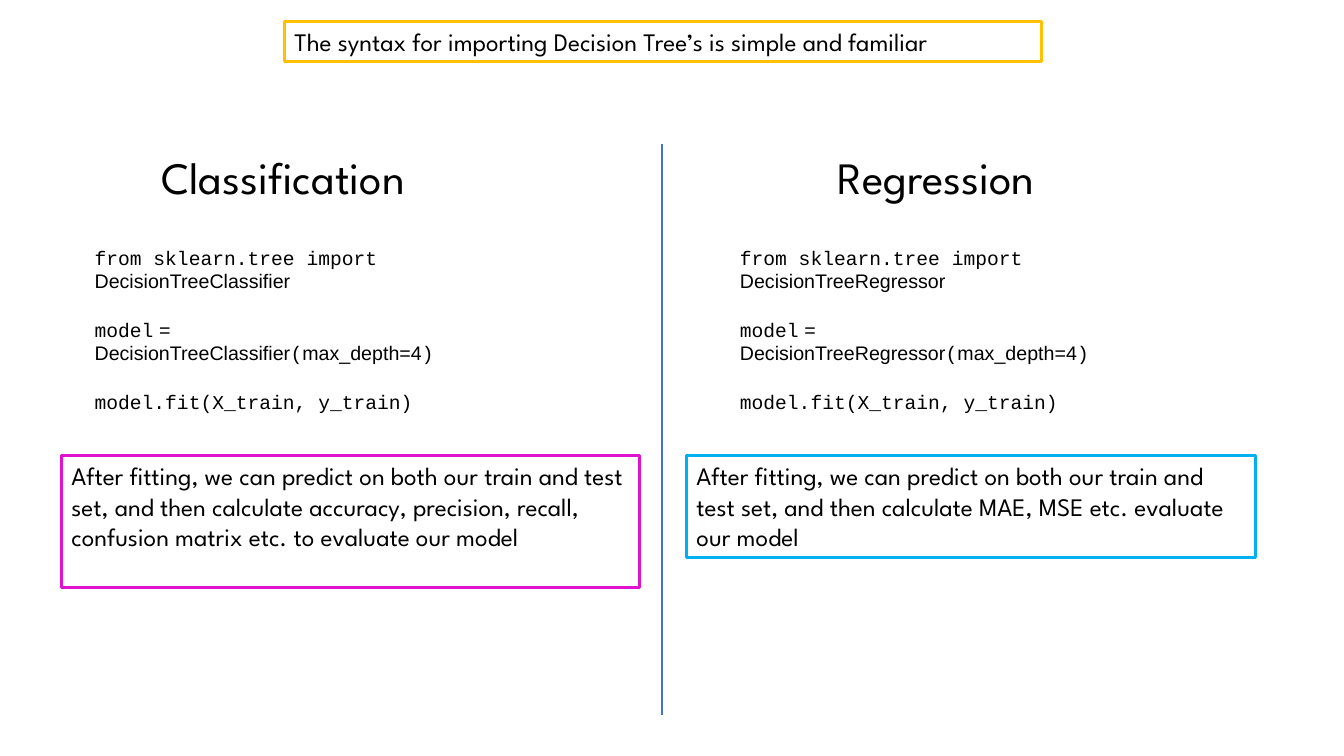
from pptx import Presentation, util as u
from pptx.dml.color import RGBColor
from pptx.enum import shapes, text
from pptx.oxml.ns import qn
from lxml import etree

HEADING, CODE, PLAIN = "League Spartan", "Courier New", "Arial"


def rgb(value):
    return RGBColor.from_string(value)


def inches(*lengths):
    return [u.Inches(n) for n in lengths]


def add_run(p, words, font, size):
    r = p.add_run()
    r.text = words
    r.font.name = font
    r.font.size = u.Pt(size)
    r.font.color.rgb = rgb("000000")


def frame(sp, anchor=text.MSO_ANCHOR.TOP):
    tf = sp.text_frame
    tf.word_wrap = True
    tf.auto_size = text.MSO_AUTO_SIZE.NONE
    tf.vertical_anchor = anchor
    return tf


def outlined_text(sp, words, color):
    """Give a shape an unfilled coloured border and left-aligned text."""
    sp.fill.background()
    sp.line.color.rgb = rgb(color)
    sp.line.width = u.Pt(2.25)
    p = frame(sp).paragraphs[0]
    p.alignment = text.PP_ALIGN.LEFT
    p.line_spacing = 1.0
    add_run(p, words, HEADING, 18)


def add_title(s, x, y, w, h, words):
    sp = s.shapes.title
    sp.left, sp.top, sp.width, sp.height = inches(x, y, w, h)
    outlined_text(sp, words, "FFC000")


def add_heading(s, x, y, w, h, words):
    sp = s.shapes.add_textbox(*inches(x, y, w, h))
    p = frame(sp).paragraphs[0]
    p.line_spacing = 0.9
    add_run(p, words, HEADING, 32)


def add_code(s, x, y, w, h, model):
    sp = s.shapes.add_textbox(*inches(x, y, w, h))
    tf = frame(sp, text.MSO_ANCHOR.MIDDLE)
    statements = [
        [("from sklearn.tree import ", CODE), (model, PLAIN)],
        [("model", CODE), (f" = {model}", PLAIN), ("(", CODE),
         ("max_depth=4", PLAIN), (")", CODE)],
        [("model.fit(X_train, y_train)", CODE)],
    ]
    for i, runs in enumerate(statements):
        p = tf.add_paragraph() if i else tf.paragraphs[0]
        p.space_before = u.Pt(18 if i else 0)
        for words, font in runs:
            add_run(p, words, font, 14)


def add_note(s, x, y, w, h, words, color):
    sp = s.shapes.add_shape(shapes.MSO_SHAPE.RECTANGLE, *inches(x, y, w, h))
    sp.shadow.inherit = False
    outlined_text(sp, words, color)


def add_column(s, x, y, w, heading, heading_dx, model, code_dx, measures, note_h, color):
    add_heading(s, x + heading_dx, y, 3, 0.72, heading)
    add_code(s, x + code_dx, y + 1.13, 4.3, 1.28, model)
    words = ("After fitting, we can predict on both our train and test set, "
             f"and then calculate {measures} evaluate our model")
    add_note(s, x, y + 3.02, w, note_h, words, color)


def add_divider(s, x, top, bottom):
    line = s.shapes.add_connector(shapes.MSO_CONNECTOR.STRAIGHT, *inches(x, top, x, bottom))
    line.line.color.rgb = rgb("4472C4")
    line.line.width = u.Pt(1.5)
    etree.SubElement(line._element.spPr, qn("a:effectLst"))


def main():
    prs = Presentation()
    prs.slide_width, prs.slide_height = inches(13.33, 7.5)
    s = prs.slides.add_slide(prs.slide_layouts[5])
    add_title(s, 2.82, 0.21, 7.51, 0.4,
              "The syntax for importing Decision Tree’s is simple and familiar")
    add_column(s, 0.61, 1.5, 5.73, "Classification", 0.89, "DecisionTreeClassifier", 0.23,
               "accuracy, precision, recall, confusion matrix etc. to", 1.31, "DE12CF")
    add_column(s, 6.81, 1.5, 5.64, "Regression", 1.4, "DecisionTreeRegressor", 0.43,
               "MAE, MSE etc.", 1.01, "00B0F0")
    add_divider(s, 6.57, 1.43, 7.09)
    prs.save("out.pptx")


if __name__ == "__main__":
    main()
